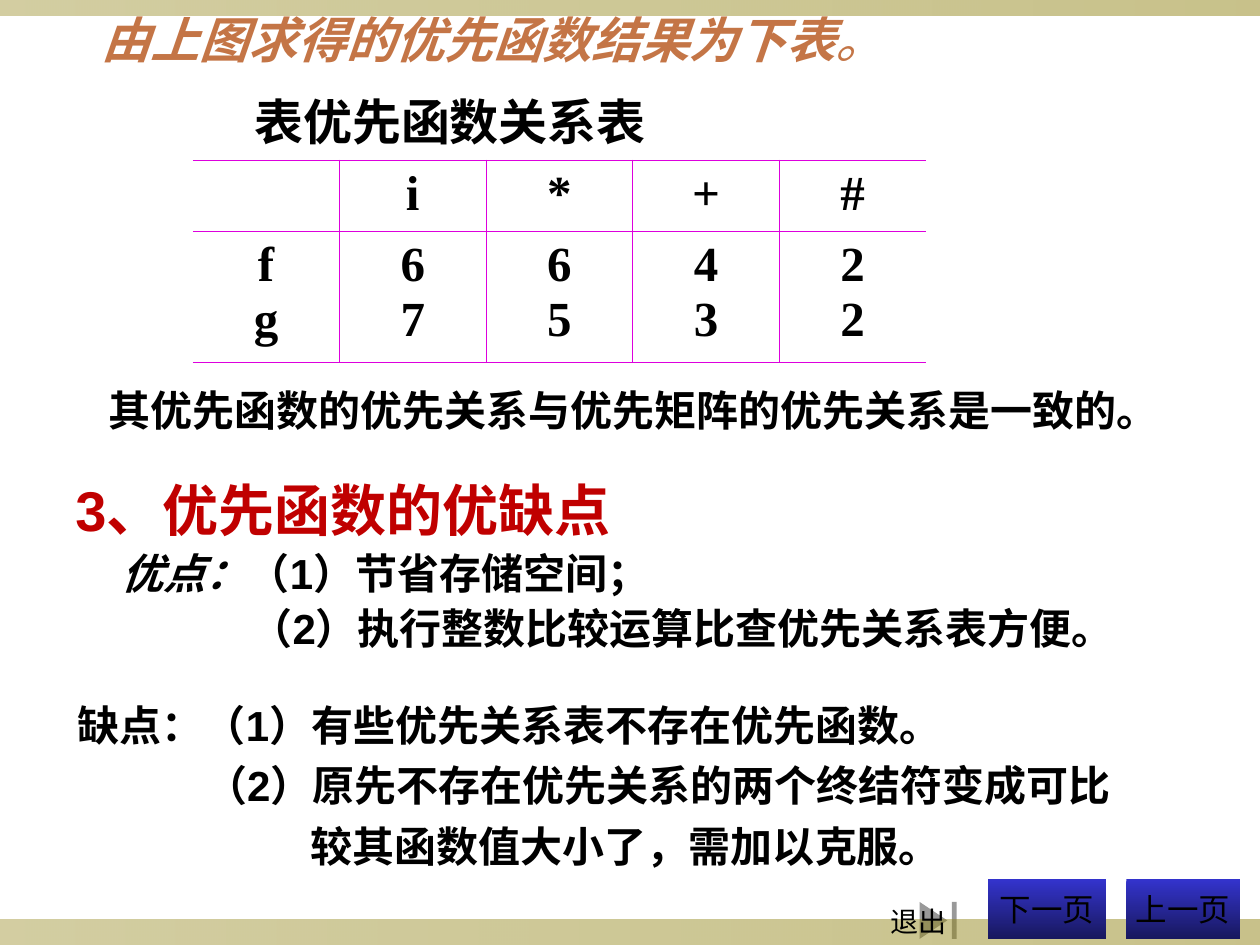
from lxml import etree
from pptx import Presentation
from pptx.dml.color import RGBColor
from pptx.enum.shapes import MSO_SHAPE
from pptx.enum.text import MSO_ANCHOR, PP_ALIGN
from pptx.oxml.ns import qn
from pptx.util import Inches, Pt

RECT, BUTTON, END_BUTTON = (MSO_SHAPE.RECTANGLE, MSO_SHAPE.ACTION_BUTTON_CUSTOM,
                            MSO_SHAPE.ACTION_BUTTON_END)
CENTER, MIDDLE = PP_ALIGN.CENTER, MSO_ANCHOR.MIDDLE
BLACK, RED, COPPER, OLIVE, MAGENTA = "000000", "C00000", "C47546", "918415", "DD00DD"
rgb = RGBColor.from_string

deck = Presentation()
deck.slide_width, deck.slide_height = Inches(10), Inches(7.5)
slide = deck.slides.add_slide(deck.slide_layouts[6])
shapes = slide.shapes


def place(left, top, width, height):
    """Grid of 100 columns by 75 rows."""
    column, row = deck.slide_width / 100, deck.slide_height / 75
    return int(left * column), int(top * row), int(width * column), int(height * row)


def style(paragraph, size, color=BLACK, bold=False, italic=False, font="Arial"):
    for run in paragraph.runs:
        run.font.size, run.font.name = Pt(size), font
        run.font.bold, run.font.italic = bold, italic
        run.font.color.rgb = rgb(color)


# Exit button, behind the other navigation
exit_button = shapes.add_shape(END_BUTTON, *place(70.5, 71.1, 7.9, 3.9))
exit_button.shadow.inherit = False
exit_button.fill.solid()
exit_button.fill.fore_color.rgb = rgb("FFFFFF")
exit_button.line.fill.background()

# Edge bars and page buttons, all with gradients
for kind, box, colors, opacities, angle, label in (
    (RECT, (0, 73, 100, 2), (OLIVE, OLIVE), (40, 50), 0, ""),
    (RECT, (0, 0, 100, 1.2), (OLIVE, OLIVE), (40, 50), 0, ""),
    (BUTTON, (78.4, 69.8, 9.4, 4.7), ("3333CC", "18185E"), (), 270, "下一页"),
    (BUTTON, (89.4, 69.8, 9, 4.7), ("3333CC", "18185E"), (), 270, "上一页"),
):
    block = shapes.add_shape(kind, *place(*box))
    block.shadow.inherit = False
    block.line.fill.background()
    block.fill.gradient()
    block.fill.gradient_angle = angle
    for stop, color, position in zip(block.fill.gradient_stops, colors, (0, 1)):
        stop.color.rgb, stop.position = rgb(color), position
    for stop_color, opacity in zip(block._element.iter(qn("a:srgbClr")), opacities):
        etree.SubElement(stop_color, qn("a:alpha"), val=str(opacity * 1000))
    if label:
        block.text_frame.text = label
        block.text_frame.word_wrap = False
        block.text_frame.vertical_anchor = MIDDLE
        block.text_frame.paragraphs[0].alignment = CENTER
        style(block.text_frame.paragraphs[0], 18)

# Text blocks: box, line spacing, lines of (indent in columns, size, colour, bold, text)
text_blocks = (
    ((69.7, 71.3, 7.1, 3.7), 1, [(0, 16, BLACK, False, "退出")]),
    ((6, 0.3, 65.1, 5.7), 1, [(1.1, 28, COPPER, True, "由上图求得的优先函数结果为下表")]),
    ((19.2, 6.8, 51.7, 5.7), 1, [(0, 28, BLACK, True, "表优先函数关系表")]),
    ((6.7, 30, 88.5, 5), 1,
     [(0.9, 24, BLACK, True, "其优先函数的优先关系与优先矩阵的优先关系是一致的。")]),
    ((5, 36.7, 90.7, 15.7), 1.1,
     [(0, 32, RED, True, "3、优先函数的优缺点"),
      (3.7, 24, BLACK, True, "优点："),
      (13.9, 24, BLACK, True, "（2）执行整数比较运算比查优先关系表方便。")]),
    ((3.3, 54.2, 88.4, 15.4), 1.2,
     [(1.9, 24, BLACK, True, "缺点：（1）有些优先关系表不存在优先函数。"),
      (12, 24, BLACK, True, "（2）原先不存在优先关系的两个终结符变成可比"),
      (20.4, 24, BLACK, True, "较其函数值大小了，需加以克服。")]),
)
# Slanted lines and the upright-weight or unslanted tail of each: text, bold, italic
slanted_tails = {"由上图求得的优先函数结果为下表": ("。", False, True),
                 "优点：": ("（1）节省存储空间；", True, False)}

for box, spacing, lines in text_blocks:
    frame = shapes.add_textbox(*place(*box)).text_frame
    frame.word_wrap = True
    frame.text = "\n".join(line[-1] for line in lines)
    for paragraph, (indent, size, color, bold, text) in zip(frame.paragraphs, lines):
        paragraph.line_spacing = spacing
        paragraph._p.get_or_add_pPr().set("marL", str(place(indent, 0, 0, 0)[0]))
        if text == "退出":
            paragraph.space_before = Pt(10)
        style(paragraph, size, color, bold, text in slanted_tails)
        if text in slanted_tails:
            tail_text, tail_bold, tail_italic = slanted_tails[text]
            tail = paragraph.add_run()
            tail.text = tail_text
            tail.font.size, tail.font.name = Pt(size), "Arial"
            tail.font.bold, tail.font.italic = tail_bold, tail_italic
            tail.font.color.rgb = rgb(color)

# Precedence function table, open at its left and right edges
precedence = (("", "i", "*", "+", "#"),
              ("f\ng", "6\n7", "6\n5", "4\n3", "2\n2"))
table = shapes.add_table(2, 5, *place(15.3, 12.7, 58.2, 16)).table
table.first_row = table.horz_banding = False
for row, rows_high in zip(table.rows, (5.7, 10.3)):
    row.height = place(0, 0, 0, rows_high)[3]
for r, values in enumerate(precedence):
    for c, value in enumerate(values):
        cell = table.cell(r, c)
        cell.text = value
        for paragraph in cell.text_frame.paragraphs:
            paragraph.alignment = CENTER
            style(paragraph, 28, bold=True, font="Times New Roman")
        properties = cell._tc.get_or_add_tcPr()
        for side in ("lnL", "lnR", "lnT", "lnB"):
            border = etree.SubElement(properties, qn("a:" + side), w=str(Pt(0.45)))
            if (side, c) in (("lnL", 0), ("lnR", len(values) - 1)):
                etree.SubElement(border, qn("a:noFill"))
            else:
                paint = etree.SubElement(border, qn("a:solidFill"))
                etree.SubElement(paint, qn("a:srgbClr"), val=MAGENTA)
        cell.fill.background()

deck.save("out.pptx")
